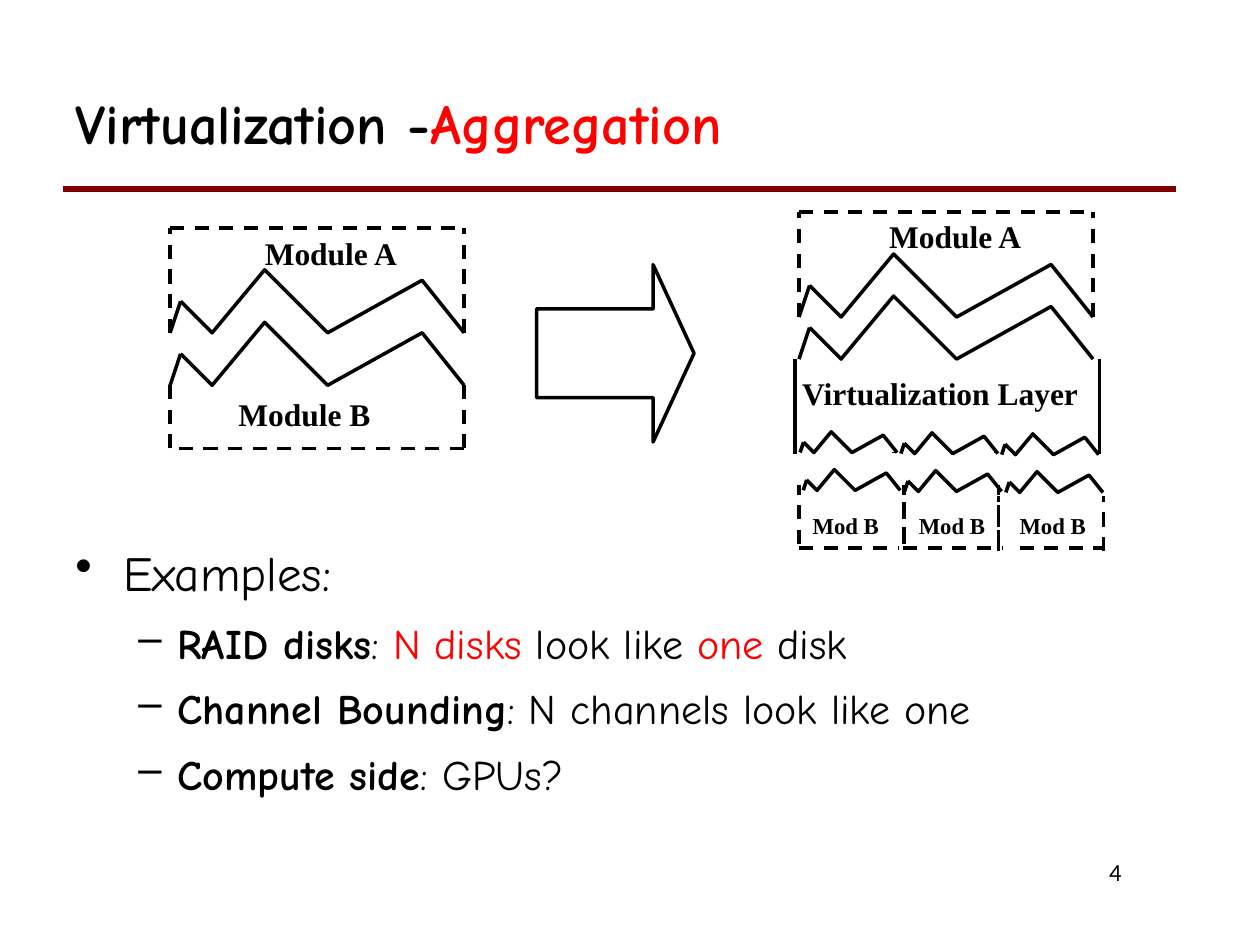
from lxml import etree
from pptx import Presentation
from pptx import util as u
from pptx.dml.color import RGBColor
from pptx.enum import dml, shapes, text
from pptx.oxml.ns import qn

COLORS = {"ink": "000000", "accent": "FF0000", "rule": "800000"}
COMIC, SERIF, SANS = "Comic Neue", "Times New Roman", "Calibri"
COLS, ROWS = 120, 90
CELL = u.Inches(10) // COLS
TEAR = [(1, -3), (4, 0), (9, -6), (15, 0), (24, -5), (28, 0)]
SMALL = 0.33
MODULE_W, MODULE_H = 28, 10


def grid(*cells):
    """Turn grid columns or rows into slide lengths."""
    return [u.Emu(round(c * CELL)) for c in cells]


def add_line(s, start, end, dashed=False, width=2, color="ink"):
    """Draw a straight line between two grid points."""
    sp = s.shapes.add_connector(shapes.MSO_CONNECTOR.STRAIGHT, *grid(*start, *end))
    sp.line.color.rgb = RGBColor.from_string(COLORS[color])
    sp.line.width = u.Pt(width)
    if dashed:
        sp.line.dash_style = dml.MSO_LINE.DASH
    etree.SubElement(sp._element.spPr, qn("a:effectLst"))


def outline(sp):
    """Leave a shape unfilled with a plain ink outline."""
    sp.shadow.inherit = False
    sp.fill.background()
    sp.line.color.rgb = RGBColor.from_string(COLORS["ink"])
    sp.line.width = u.Pt(2)


def add_tear(s, x, base, scale=1):
    """Draw a torn edge that starts at x and rests on the base row."""
    points = [(x + dx * scale, base + dy * scale) for dx, dy in TEAR]
    builder = s.shapes.build_freeform(*grid(*points[0]))
    builder.add_line_segments([grid(*pt) for pt in points[1:]], close=False)
    outline(builder.convert_to_shape())
    add_line(s, points[0], (x, base))


def add_box(s, box, wrap=True, inset=(0.1, 0.05, 0.1, 0.05)):
    """Add an empty text box and return its text frame."""
    tf = s.shapes.add_textbox(*grid(*box)).text_frame
    tf.word_wrap = wrap
    tf.margin_left, tf.margin_top, tf.margin_right, tf.margin_bottom = map(u.Inches, inset)
    return tf


def add_run(p, words, size, font=COMIC, bold=False, color="ink"):
    """Append one formatted run to a paragraph."""
    r = p.add_run()
    r.text = words
    r.font.size, r.font.name, r.font.bold = u.Pt(size), font, bold
    r.font.color.rgb = RGBColor.from_string(COLORS[color])


def add_labels(s, box, labels, size=18):
    """Stack diagram labels given as words, line height, gap and indent."""
    tf = add_box(s, box, wrap=False, inset=(0, 0, 0, 0.05))
    for i, (words, height, gap, indent) in enumerate(labels):
        p = tf.add_paragraph() if i else tf.paragraphs[0]
        p._p.get_or_add_pPr().set("marL", str(u.Inches(indent)))
        p.line_spacing, p.space_before = u.Pt(height), u.Pt(gap)
        add_run(p, words, size, SERIF, bold=True)


def add_title(s, box):
    """Place the title and the rule under it."""
    x, y, w, h = box
    add_line(s, (x, y + h), (x + w, y + h), width=3, color="rule")
    tf = add_box(s, box)
    tf.vertical_anchor = text.MSO_ANCHOR.MIDDLE
    p = tf.paragraphs[0]
    p.line_spacing = 0.9
    add_run(p, "Virtualization -", 32, bold=True)
    add_run(p, "Aggregation", 32, bold=True, color="accent")


def add_examples(s, box):
    """Place the bulleted examples."""
    items = [
        (0, [("Examples:", False, "ink")]),
        (1, [("RAID disks", True, "ink"), (": ", False, "ink"),
             ("N disks ", False, "accent"), ("look like ", False, "ink"),
             ("one", False, "accent"), (" disk", False, "ink")]),
        (1, [("Channel Bounding", True, "ink"),
             (": N channels look like one", False, "ink")]),
        (1, [("Compute side", True, "ink"), (": GPUs?", False, "ink")]),
    ]
    levels = [(28, "•", 0.38, -0.38), (24, "–", 0.81, -0.31)]
    tf = add_box(s, box)
    for i, (level, runs) in enumerate(items):
        size, mark, margin, hang = levels[level]
        p = tf.add_paragraph() if i else tf.paragraphs[0]
        p.level, p.line_spacing = level, 1.2
        p.space_before = u.Pt(3 if i else 0)
        pPr = p._p.get_or_add_pPr()
        pPr.set("marL", str(u.Inches(margin)))
        pPr.set("indent", str(u.Inches(hang)))
        etree.SubElement(pPr, qn("a:buChar")).set("char", mark)
        for words, bold, color in runs:
            add_run(p, words, size, bold=bold, color=color)


def add_module_top(s, x, y):
    """Draw a dashed module whose lower edge is torn."""
    right, base = x + MODULE_W, y + MODULE_H
    add_tear(s, x, base)
    for side in (x, right):
        add_line(s, (side, base), (side, y), dashed=True)
    add_line(s, (x, y), (right, y), dashed=True)


def add_pair(s, x, y):
    """Draw module A above module B."""
    right, base, bottom = x + MODULE_W, y + 15, y + 21
    add_module_top(s, x, y)
    add_tear(s, x, base)
    for side in (x, right):
        add_line(s, (side, bottom), (side, base), dashed=True)
    add_line(s, (right, bottom), (x, bottom), dashed=True)
    add_labels(s, (x + 6.5, y + 0.9, 15.2, 19.2),
               [("Module A", 20, 0, 0.21), ("Module B", 22, 70, 0)])


def add_arrow(s, box):
    """Place the block arrow between the diagrams."""
    sp = s.shapes.add_shape(shapes.MSO_SHAPE.RIGHT_ARROW, *grid(*box))
    sp.adjustments[0], sp.adjustments[1] = 0.5, 0.26
    outline(sp)


def add_small_modules(s, x, y):
    """Draw the row of three small modules."""
    walls = [(0, 10, 0), (10, 19, 1), (19, 29, 1)]
    floors = [(0, 9.5), (9.9, 19.4), (21, 29)]
    for i, ((left, right, drop), floor, label) in enumerate(zip(walls, floors, (1.3, 11.4, 21))):
        add_tear(s, x + 0.4 + 9.65 * i, y + 0.5 + 0.1 * i, SMALL)
        add_line(s, (x + left, y + 5.6), (x + left, y), dashed=True)
        add_line(s, (x + right, y + 5.3 + drop), (x + right, y + drop), dashed=True)
        add_line(s, (x + floor[0], y + 6), (x + floor[1], y + 6), dashed=True)
        add_labels(s, (x + label, y + 2.6, 6.4, 3.1), [("Mod B", 15, 0, 0)], size=13)


def add_aggregate(s, x, y):
    """Draw module A, the virtualization layer and the small modules."""
    layer_top, layer_bottom = y + 14, y + 23
    add_small_modules(s, x, y + 26)
    for i in range(3):
        add_tear(s, x + 0.1 + 9.6 * i, layer_bottom - 0.1 + 0.1 * i, SMALL)
    for joint in (x + 8.9, x + 18.6):
        add_line(s, (joint + 0.3, layer_bottom - 0.1), (joint, layer_bottom - 0.1), width=1)
    for side in (x - 0.4, x + 28.6):
        add_line(s, (side, layer_top), (side, layer_bottom))
    add_tear(s, x, layer_top)
    add_module_top(s, x, y)
    add_labels(s, (x + 0.3, y + 0.7, 26.4, 19),
               [("Module A", 20, 0, 0.69), ("Virtualization Layer", 30, 60, 0)])


def add_number(s, box):
    """Place the slide number."""
    p = add_box(s, box).paragraphs[0]
    p.alignment = text.PP_ALIGN.RIGHT
    add_run(p, "4", 14, SANS)


def main():
    """Build and save the slide."""
    prs = Presentation()
    prs.slide_width, prs.slide_height = grid(COLS, ROWS)
    s = prs.slides.add_slide(prs.slide_layouts[6])
    add_title(s, (6, 6, 106, 12))
    add_examples(s, (6, 50, 109, 30))
    add_number(s, (91, 81, 17, 6))
    add_pair(s, 16.2, 21.7)
    add_arrow(s, (51.1, 25.2, 15, 16.9))
    add_aggregate(s, 76.1, 20.2)
    prs.save("out.pptx")


if __name__ == "__main__":
    main()
